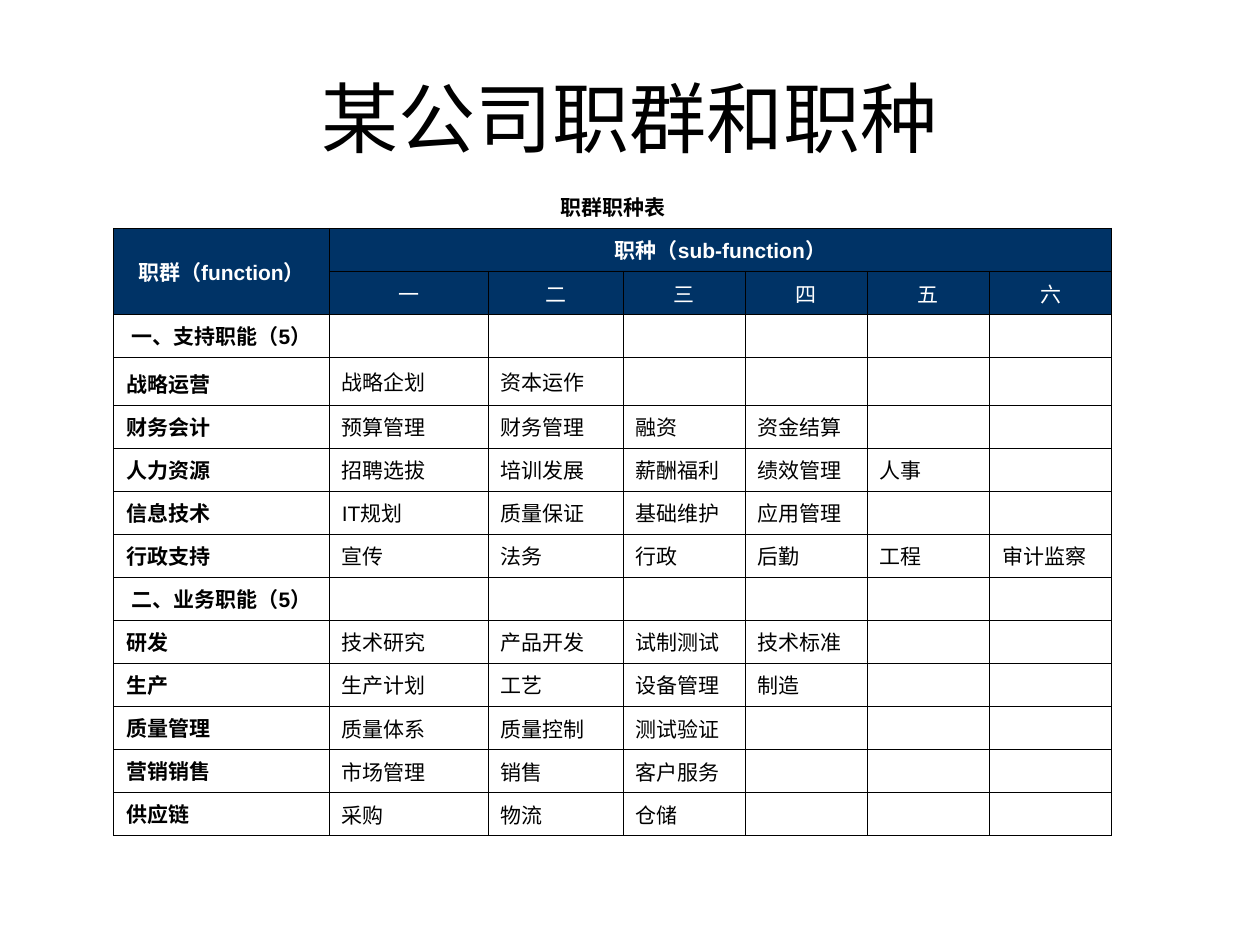
from typing import NamedTuple

from lxml import etree
from pptx import Presentation, util as u
from pptx.dml import color
from pptx.enum import text
from pptx.oxml import ns

NAVY, WHITE, BLACK = "003366", "FFFFFF", "000000"
NO_STYLE = "{2D5ABB26-0587-4C30-8999-92F81FD0307C}"
COLUMNS = [123.2, 90.8, 77.1] + [69.8] * 4
ROW_HEIGHT, TALL_ROW_HEIGHT, TALL_ROW = 24.6, 27.4, 4
TOP, MIDDLE, BOTTOM = text.MSO_ANCHOR.TOP, text.MSO_ANCHOR.MIDDLE, text.MSO_ANCHOR.BOTTOM
LEFT, CENTER = text.PP_ALIGN.LEFT, text.PP_ALIGN.CENTER


class CellStyle(NamedTuple):
    color: str = BLACK
    fill: str | None = None
    bold: bool = False
    align: text.PP_ALIGN = LEFT
    anchor: text.MSO_ANCHOR = MIDDLE
    sides: str = "LRTB"
    inset: float = 7.2


CAPTION = CellStyle(bold=True, align=CENTER, anchor=BOTTOM, sides="B")
HEAD = CellStyle(WHITE, NAVY, True, CENTER)
NUMBER = HEAD._replace(bold=False)
FUNCTION = CellStyle(bold=True, anchor=BOTTOM)
SECTION = FUNCTION._replace(align=CENTER, inset=5)
SUB_FUNCTION = CellStyle()
EMPTY = CellStyle(anchor=TOP)

ROWS = [
    ["职群职种表"],
    ["职群（function）", "职种（sub-function）"],
    ["", "一", "二", "三", "四", "五", "六"],
    ["一、支持职能（5）"],
    ["战略运营", "战略企划", "资本运作"],
    ["财务会计", "预算管理", "财务管理", "融资", "资金结算"],
    ["人力资源", "招聘选拔", "培训发展", "薪酬福利", "绩效管理", "人事"],
    ["信息技术", "IT规划", "质量保证", "基础维护", "应用管理"],
    ["行政支持", "宣传", "法务", "行政", "后勤", "工程", "审计监察"],
    ["二、业务职能（5）"],
    ["研发", "技术研究", "产品开发", "试制测试", "技术标准"],
    ["生产", "生产计划", "工艺", "设备管理", "制造"],
    ["质量管理", "质量体系", "质量控制", "测试验证"],
    ["营销销售", "市场管理", "销售", "客户服务"],
    ["供应链", "采购", "物流", "仓储"],
]


def rgb(value: str) -> color.RGBColor:
    return color.RGBColor.from_string(value)


def write(p, content: str, size: float, hue: str, bold: bool, align: text.PP_ALIGN) -> None:
    if content:
        p.add_run().text = content
    p.alignment = align
    p.font.name, p.font.size, p.font.bold = "Arial", u.Pt(size), bold
    p.font.color.rgb = rgb(hue)


def add_borders(cell, sides: str) -> None:
    tc_pr = cell._tc.get_or_add_tcPr()
    for side in "LRTB":
        ln = etree.SubElement(tc_pr, ns.qn(f"a:ln{side}"), w=str(u.Pt(0.45)))
        if side in sides:
            solid = etree.SubElement(ln, ns.qn("a:solidFill"))
            etree.SubElement(solid, ns.qn("a:srgbClr"), val=BLACK)
        else:
            etree.SubElement(ln, ns.qn("a:noFill"))


def style_for(row: int, col: int, content: str) -> CellStyle:
    if row < 3:
        return (CAPTION, HEAD, NUMBER)[row]
    if col == 0:
        return SECTION if len(ROWS[row]) == 1 else FUNCTION
    return SUB_FUNCTION if content else EMPTY


def draw_cell(cell, content: str, style: CellStyle) -> None:
    add_borders(cell, style.sides)
    if style.fill:
        cell.fill.solid()
        cell.fill.fore_color.rgb = rgb(style.fill)
    else:
        cell.fill.background()
    cell.vertical_anchor = style.anchor
    cell.margin_left = cell.margin_right = u.Pt(style.inset)
    p = cell.text_frame.paragraphs[0]
    write(p, content, 12, style.color, style.bold, style.align)
    if not content:
        p._p.get_or_add_endParaRPr().set("sz", "1200")


def add_title(s) -> None:
    tf = s.shapes.add_textbox(u.Pt(36), u.Pt(21.6), u.Pt(648), u.Pt(90)).text_frame
    tf.word_wrap = True
    tf.vertical_anchor = MIDDLE
    write(tf.paragraphs[0], "某公司职群和职种", 44, BLACK, False, CENTER)


def add_function_table(s) -> None:
    heights = [TALL_ROW_HEIGHT if i == TALL_ROW else ROW_HEIGHT for i in range(len(ROWS))]
    frame = s.shapes.add_table(len(ROWS), len(COLUMNS), u.Pt(65), u.Pt(105.9),
                               u.Pt(sum(COLUMNS)), u.Pt(sum(heights)))
    table = frame.table
    table.first_row = table.horz_banding = False
    table._tbl.tblPr.find(ns.qn("a:tableStyleId")).text = NO_STYLE
    for column, width in zip(table.columns, COLUMNS):
        column.width = u.Pt(width)
    for row, height in zip(table.rows, heights):
        row.height = u.Pt(height)
    for i, labels in enumerate(ROWS):
        for j in range(len(COLUMNS)):
            content = labels[j] if j < len(labels) else ""
            draw_cell(table.cell(i, j), content, style_for(i, j, content))
    for start, end in [((0, 0), (0, 6)), ((1, 0), (2, 0)), ((1, 1), (1, 6))]:
        table.cell(*start).merge(table.cell(*end))


def main() -> None:
    """Build the slide of job functions and sub-functions."""
    prs = Presentation()
    prs.slide_width, prs.slide_height = u.Pt(720), u.Pt(540)
    s = prs.slides.add_slide(prs.slide_layouts[6])
    add_title(s)
    add_function_table(s)
    prs.save("out.pptx")


if __name__ == "__main__":
    main()
